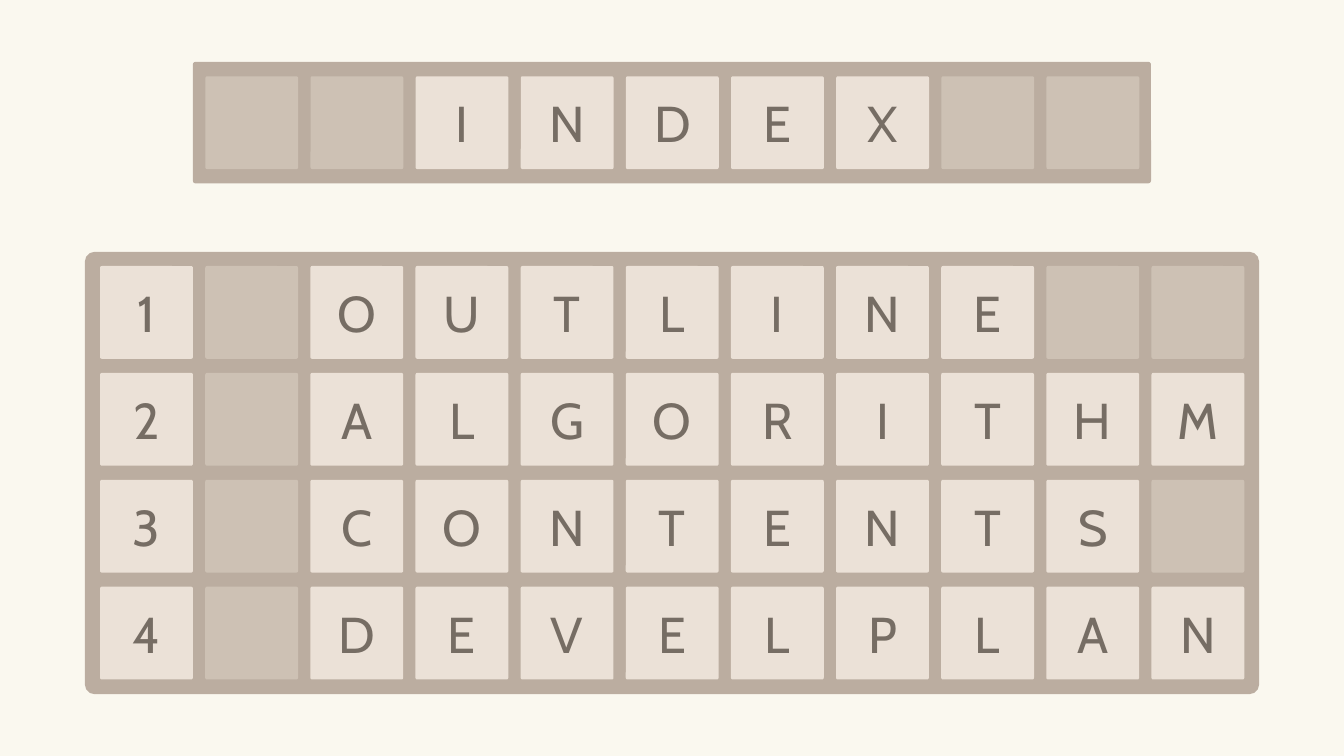
import pptx
import pptx.util
import pptx.dml.color
import pptx.enum.shapes
import pptx.enum.text

Pt = pptx.util.Pt

PAGE = "FAF8EF"
FRAME = "BBADA0"
EMPTY_TILE = "CDC1B4"
LETTER_TILE = "EBE1D7"
LETTER = "766D64"

BLANK = "_"
HEADING = ["__INDEX__"]
CHAPTERS = ["1_OUTLINE__", "2_ALGORITHM", "3_CONTENTS_", "4_DEVELPLAN"]

TILE = 66.3
COLUMN_STEP = 75.1
ROW_STEP = 76.35


def paint(fill, color):
    fill.solid()
    fill.fore_color.rgb = pptx.dml.color.RGBColor.from_string(color)


def add_block(board, left, top, width, height, rounding, color):
    block = board.shapes.add_shape(
        pptx.enum.shapes.MSO_SHAPE.ROUNDED_RECTANGLE,
        Pt(left), Pt(top), Pt(width), Pt(height))
    block.adjustments[0] = rounding
    block.shadow.inherit = False
    block.line.fill.background()
    paint(block.fill, color)
    return block


def add_tile(board, left, top, letter):
    color = EMPTY_TILE if letter == BLANK else LETTER_TILE
    tile = add_block(board, left, top, TILE, TILE, 0.02, color)
    if letter == BLANK:
        return
    frame = tile.text_frame
    frame.vertical_anchor = pptx.enum.text.MSO_ANCHOR.MIDDLE
    paragraph = frame.paragraphs[0]
    paragraph.text = letter
    paragraph.alignment = pptx.enum.text.PP_ALIGN.CENTER
    paragraph.font.name = "Cabin"
    paragraph.font.size = Pt(36)
    paint(paragraph.font.fill, LETTER)


def add_board(slide, frame_box, first_left, first_top, words):
    board = slide.shapes.add_group_shape()
    add_block(board, *frame_box, 0.022, FRAME)
    for row, word in enumerate(words):
        for column, letter in enumerate(word):
            add_tile(board, first_left + column * COLUMN_STEP,
                     first_top + row * ROW_STEP, letter)


def main():
    deck = pptx.Presentation()
    deck.slide_width, deck.slide_height = Pt(960), Pt(540)
    slide = deck.slides.add_slide(deck.slide_layouts[6])
    paint(slide.background.fill, PAGE)
    add_board(slide, (137.8, 44.2, 684.4, 86.8), 146.7, 54.5, HEADING)
    add_board(slide, (60.6, 179.9, 838.8, 316), 71.5, 190, CHAPTERS)
    deck.save("out.pptx")


if __name__ == "__main__":
    main()
